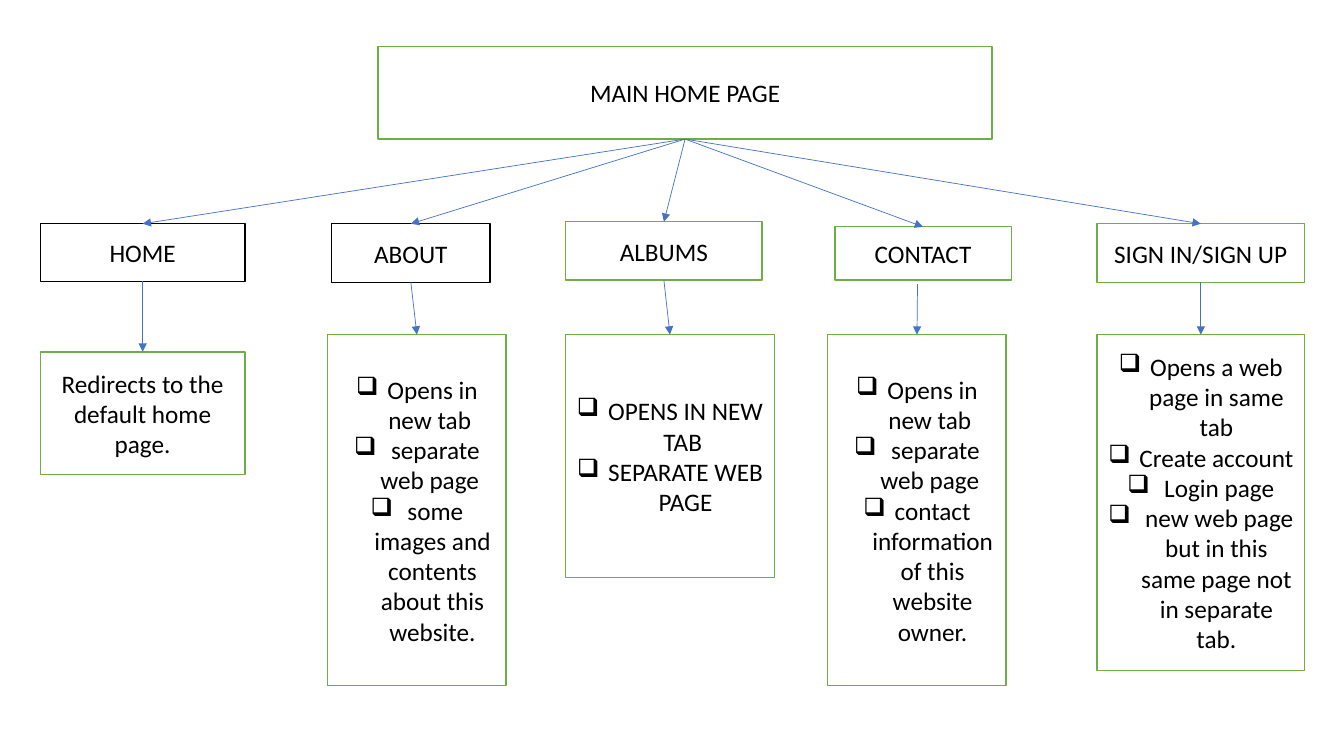
from lxml import etree
from pptx import Presentation
from pptx import util as u
from pptx.dml.color import RGBColor
from pptx.enum import shapes, text
from pptx.oxml import ns

GREEN, BLACK, WHITE, BLUE = "70AD47", "000000", "FFFFFF", "4472C4"
PROCESS = shapes.MSO_SHAPE.FLOWCHART_PROCESS
RECT = shapes.MSO_SHAPE.RECTANGLE
INDENT = u.Inches(0.31)


def color(hex_string):
    """Turn a hex string into a colour."""
    return RGBColor.from_string(hex_string)


def add_child(parent, tag, **attrs):
    """Append a DrawingML element with the given attributes."""
    return etree.SubElement(parent, ns.qn(tag), **attrs)


def add_bullet(p):
    """Give a paragraph a hanging shadowed-square bullet."""
    pPr = p._p.get_or_add_pPr()
    pPr.set("marL", str(INDENT))
    pPr.set("indent", str(-INDENT))
    add_child(pPr, "a:buFont", typeface="Wingdings")
    add_child(pPr, "a:buChar", char="q")


def add_box(s, box, lines, line=GREEN, kind=PROCESS, bullets=False):
    """Draw an outlined box with centred lines of text."""
    sp = s.shapes.add_shape(kind, *[u.Inches(v) for v in box])
    sp.shadow.inherit = False
    sp.fill.solid()
    sp.fill.fore_color.rgb = color(WHITE)
    sp.line.color.rgb = color(line)
    sp.line.width = u.Pt(1)
    tf = sp.text_frame
    tf.word_wrap = True
    tf.vertical_anchor = text.MSO_ANCHOR.MIDDLE
    for i, words in enumerate(lines):
        p = tf.add_paragraph() if i else tf.paragraphs[0]
        p.alignment = text.PP_ALIGN.CENTER
        if bullets:
            add_bullet(p)
        r = p.add_run()
        r.text = words
        r.font.size = u.Pt(18)
        r.font.name = "Calibri"
        r.font.color.rgb = color(BLACK)


def top(box):
    """Return the middle of the top edge."""
    return box[0] + box[2] / 2, box[1]


def bottom(box):
    """Return the middle of the bottom edge."""
    return box[0] + box[2] / 2, box[1] + box[3]


def add_arrow(s, start, end):
    """Draw a thin blue arrow between two points."""
    c = s.shapes.add_connector(shapes.MSO_CONNECTOR.STRAIGHT,
                               *[u.Inches(v) for v in (*start, *end)])
    c.line.color.rgb = color(BLUE)
    c.line.width = u.Pt(0.5)
    add_child(c.line._get_or_add_ln(), "a:tailEnd", type="triangle")
    add_child(c._element.spPr, "a:effectLst")


def add_branch(s, root, menu, detail, title, lines, line=GREEN,
               menu_kind=PROCESS, detail_kind=RECT, link_start=None):
    """Draw a menu item, its details and the arrows leading to them."""
    add_box(s, menu, [title], line, menu_kind)
    add_box(s, detail, lines, kind=detail_kind, bullets=len(lines) > 1)
    add_arrow(s, bottom(root), top(menu))
    add_arrow(s, link_start or bottom(menu), top(detail))


def build_site_map(s):
    """Draw the main page and its five branches."""
    root = (3.75, 0.46, 6.09, 0.92)
    add_box(s, root, ["MAIN HOME PAGE"])
    add_branch(s, root, (0.4, 2.22, 2.03, 0.57), (0.4, 3.49, 2.03, 1.22),
               "HOME", ["Redirects to the default home page."],
               line=BLACK, detail_kind=PROCESS)
    add_branch(s, root, (3.29, 2.22, 1.57, 0.58), (3.25, 3.32, 1.77, 3.48),
               "ABOUT", ["Opens in new tab ", " separate web page ",
                         " some images and contents about this website."],
               line=BLACK)
    add_branch(s, root, (5.61, 2.2, 1.95, 0.58), (5.61, 3.32, 2.07, 2.41),
               "ALBUMS", ["OPENS IN NEW TAB ", "SEPARATE WEB PAGE"],
               menu_kind=RECT, detail_kind=PROCESS)
    add_branch(s, root, (8.28, 2.25, 1.75, 0.53), (8.21, 3.32, 1.77, 3.48),
               "CONTACT", ["Opens in new tab ", " separate web page ",
                           "contact information of this website owner."],
               link_start=(9.1, 2.82))
    add_branch(s, root, (10.88, 2.22, 2.06, 0.58), (10.88, 3.32, 2.06, 3.33),
               "SIGN IN/SIGN UP",
               ["Opens a web page in same tab", "Create account", " Login page",
                " new web page but in this same page not in separate tab."])


prs = Presentation()
prs.slide_width, prs.slide_height = u.Inches(13.33), u.Inches(7.5)
build_site_map(prs.slides.add_slide(prs.slide_layouts[6]))
prs.save("out.pptx")
